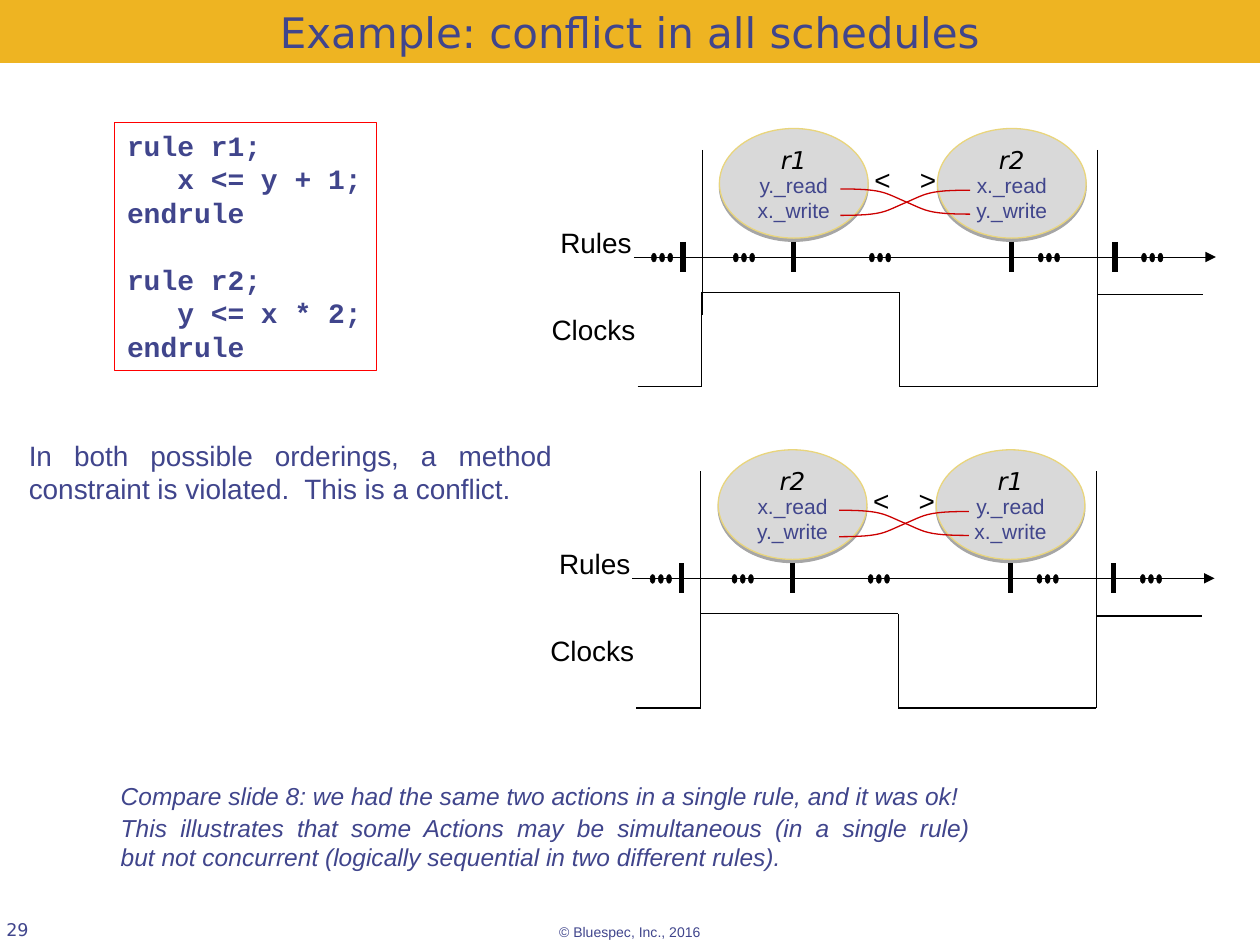
import dataclasses
import itertools

import lxml.etree
import pptx
import pptx.dml.color
import pptx.enum.shapes
import pptx.enum.text
import pptx.oxml.ns
import pptx.util

Inches = pptx.util.Inches
Pt = pptx.util.Pt
Align = pptx.enum.text.PP_ALIGN
Anchor = pptx.enum.text.MSO_ANCHOR
Preset = pptx.enum.shapes.MSO_SHAPE


@dataclasses.dataclass(frozen=True)
class Theme:
    """Colours, fonts and type sizes of the slide."""
    ink: str = "40458C"
    black: str = "000000"
    band: str = "EEB422"
    frame: str = "FF0000"
    bubble: str = "D9D9D9"
    bubble_edge: str = "E9D57C"
    conflict: str = "CC0000"
    heading: str = "DejaVu Sans"
    body: str = "Arial"
    code: str = "Courier New"
    title_size: int = 24
    text_size: int = 16
    note_size: int = 14
    method_size: int = 12
    number_size: int = 10
    footer_size: int = 8


THEME = Theme()


@dataclasses.dataclass(frozen=True)
class Box:
    """A rectangle in inches."""
    left: float
    top: float
    width: float
    height: float

    def inside(self, left, top, width, height):
        """Return a box placed relative to this one."""
        return Box(self.left + left, self.top + top, width, height)

    def lengths(self):
        """Return the four sides as slide lengths."""
        return [Inches(value) for value in dataclasses.astuple(self)]


def colour(code):
    """Turn a hex code into a colour."""
    return pptx.dml.color.RGBColor.from_string(code)


def write(shape, lines, size, font=THEME.body, ink=THEME.ink, align=Align.LEFT,
          anchor=Anchor.TOP, margins=(0.1, 0.05), bold=False, italic=False):
    """Fill a shape with one paragraph per line and return the paragraphs."""
    frame = shape.text_frame
    frame.word_wrap = True
    frame.vertical_anchor = anchor
    frame.margin_left = frame.margin_right = Inches(margins[0])
    frame.margin_top = frame.margin_bottom = Inches(margins[1])
    for index, line in enumerate(lines):
        paragraph = frame.add_paragraph() if index else frame.paragraphs[0]
        paragraph.text = line
        paragraph.alignment = align
        paragraph.font.name = font
        paragraph.font.size = Pt(size)
        paragraph.font.bold = bold
        paragraph.font.italic = italic
        paragraph.font.color.rgb = colour(ink)
    return frame.paragraphs


def add_text(slide, box, lines, size, **style):
    """Place a text box and return its paragraphs."""
    return write(slide.shapes.add_textbox(*box.lengths()), lines, size, **style)


def add_shape(slide, preset, box, fill=None, line=None, width=0.75):
    """Place a preset shape without shadow."""
    shape = slide.shapes.add_shape(preset, *box.lengths())
    shape.shadow.inherit = False
    if fill:
        shape.fill.solid()
        shape.fill.fore_color.rgb = colour(fill)
    else:
        shape.fill.background()
    if line:
        shape.line.color.rgb = colour(line)
        shape.line.width = Pt(width)
    else:
        shape.line.fill.background()
    return shape


def add_line(slide, box, start, end, width, arrow=False):
    """Draw a black line between two points of a box."""
    points = [Inches(origin + offset) for point in (start, end)
              for origin, offset in zip((box.left, box.top), point)]
    line = slide.shapes.add_connector(pptx.enum.shapes.MSO_CONNECTOR.STRAIGHT, *points)
    line.line.color.rgb = colour(THEME.black)
    line.line.width = Pt(width)
    if arrow:
        tail = lxml.etree.SubElement(line.line._get_or_add_ln(), pptx.oxml.ns.qn("a:tailEnd"))
        tail.set("type", "triangle")
    lxml.etree.SubElement(line._element.spPr, pptx.oxml.ns.qn("a:effectLst"))


def add_title(slide, box, title):
    """Draw the title band."""
    band = add_shape(slide, Preset.RECTANGLE, box, THEME.band)
    write(band, [title], THEME.title_size, font=THEME.heading, align=Align.CENTER,
          anchor=Anchor.BOTTOM, margins=(0, 0.05))


def add_code(slide, box, rules):
    """Show rules as framed code, with a line's gap between them."""
    frame = add_shape(slide, Preset.RECTANGLE, box, line=THEME.frame)
    lines = list(itertools.chain.from_iterable(rules))
    paragraphs = write(frame, lines, THEME.text_size, font=THEME.code, bold=True)
    paragraphs[len(rules[0])].space_before = Pt(19)


def add_rule(slide, box, name, methods):
    """Draw a shadowed rule bubble with its method calls."""
    bubble = add_shape(slide, Preset.OVAL, box, THEME.bubble, THEME.bubble_edge)
    effects = bubble._element.spPr.find(pptx.oxml.ns.qn("a:effectLst"))
    shadow = lxml.etree.SubElement(effects, pptx.oxml.ns.qn("a:outerShdw"),
                                   blurRad="0", dist=str(Pt(1.8)), dir="5400000")
    tint = lxml.etree.SubElement(shadow, pptx.oxml.ns.qn("a:srgbClr"), val=THEME.black)
    lxml.etree.SubElement(tint, pptx.oxml.ns.qn("a:alpha"), val="35000")
    write(bubble, [name], THEME.note_size, font=THEME.heading, ink=THEME.black,
          align=Align.CENTER, margins=(0, 0), italic=True)
    add_text(slide, box.inside(0, 0.3, box.width, 0.5), methods, THEME.method_size,
             align=Align.CENTER)


def add_conflict(slide, box, rising):
    """Draw an S-shaped curve across a box."""
    halves = [((0, 0), (0.33, 0), (0.34, 0.15), (0.5, 0.5)),
              ((0.5, 0.5), (0.66, 0.85), (0.67, 1), (1, 1))]
    points = []
    for half, step in itertools.product(halves, range(13)):
        t = step / 12
        weights = ((1 - t) ** 3, 3 * t * (1 - t) ** 2, 3 * t * t * (1 - t), t ** 3)
        x, y = (sum(w * p[axis] for w, p in zip(weights, half)) for axis in (0, 1))
        y = 1 - y if rising else y
        points.append((Inches(box.left + x * box.width), Inches(box.top + y * box.height)))
    builder = slide.shapes.build_freeform(*points[0])
    builder.add_line_segments(points[1:], close=False)
    curve = builder.convert_to_shape()
    curve.shadow.inherit = False
    curve.fill.background()
    curve.line.color.rgb = colour(THEME.conflict)
    curve.line.width = Pt(0)


def add_schedule(slide, box, rules):
    """Draw one ordering of two rules over the clock waveform."""
    for left, (name, methods) in zip((1.68, 3.41), rules):
        add_rule(slide, box.inside(left, 0, 1.18, 0.87), name, methods)
    labels = [("Rules", 0.07, 0.72, 1.26), ("Clocks", 0, 1.41, 1.36),
              ("<", 2.56, 0.22, 0.83), (">", 2.92, 0.22, 0.83)]
    for label, left, top, width in labels:
        add_text(slide, box.inside(left, top, width, 0.37), [label], THEME.text_size,
                 ink=THEME.black, align=Align.CENTER)
    add_line(slide, box, (1, 1.02), (5.62, 1.02), 0.25, arrow=True)
    for left, dot in itertools.product((1.14, 1.79, 2.87, 4.21, 5.03), range(3)):
        add_shape(slide, Preset.OVAL, box.inside(left + 0.065 * dot, 0.99, 0.04, 0.07),
                  THEME.black, THEME.black, 0.25)
    for x in (1.39, 2.27, 4, 4.82):
        add_line(slide, box, (x, 0.9), (x, 1.14), 3)
    for x in (1.54, 4.68):
        add_line(slide, box, (x, 0.17), (x, 1.48), 0.25)
    wave = [(1.03, 2.05), (1.54, 2.05), (1.54, 1.3), (3.11, 1.3),
            (3.11, 2.05), (4.68, 2.05), (4.68, 1.32), (5.52, 1.32)]
    for start, end in zip(wave, wave[1:]):
        add_line(slide, box, start, end, 0.75)
    for top, rising in ((0.49, True), (0.48, False)):
        add_conflict(slide, box.inside(2.64, top, 1.03, 0.2), rising)


def add_footer(slide, box, number, notice):
    """Place the page number and the copyright line."""
    add_text(slide, box.inside(0.05, 0, 2.08, 0.5), [number], THEME.number_size,
             font=THEME.heading, anchor=Anchor.BOTTOM, margins=(0, 0))
    add_text(slide, box.inside(4, 0.32, 2, 0.22), [notice], THEME.footer_size,
             align=Align.CENTER)


def main():
    """Build and save the slide."""
    presentation = pptx.Presentation()
    presentation.slide_width, presentation.slide_height = Inches(10), Inches(7.5)
    slide = presentation.slides.add_slide(presentation.slide_layouts[6])
    add_footer(slide, Box(0, 6.96, 10, 0.54), "29", "© Bluespec, Inc., 2016")
    add_title(slide, Box(0, 0, 10, 0.5), "Example: conflict in all schedules")
    add_code(slide, Box(0.91, 0.97, 2.08, 1.97),
             [["rule r1;", "   x <= y + 1;", "endrule"],
              ["rule r2;", "   y <= x * 2;", "endrule"]])
    first = ("r1", ["y._read", "x._write"])
    second = ("r2", ["x._read", "y._write"])
    add_schedule(slide, Box(4.03, 1.02, 5.62, 2.07), [first, second])
    add_schedule(slide, Box(4.02, 3.57, 5.62, 2.07), [second, first])
    add_text(slide, Box(0.13, 3.43, 4.35, 0.63),
             ["In both possible orderings, a method constraint is violated.  This is a conflict."],
             THEME.text_size, align=Align.JUSTIFY)
    notes = add_text(slide, Box(0.86, 6.15, 6.94, 0.82),
                     ["Compare slide 8: we had the same two actions in a single rule, and it was ok!",
                      "This illustrates that some Actions may be simultaneous (in a single rule)\n"
                      "but not concurrent (logically sequential in two different rules)."],
                     THEME.note_size, align=Align.JUSTIFY, italic=True)
    notes[1].space_before = Pt(1.4)
    presentation.save("out.pptx")


if __name__ == "__main__":
    main()
